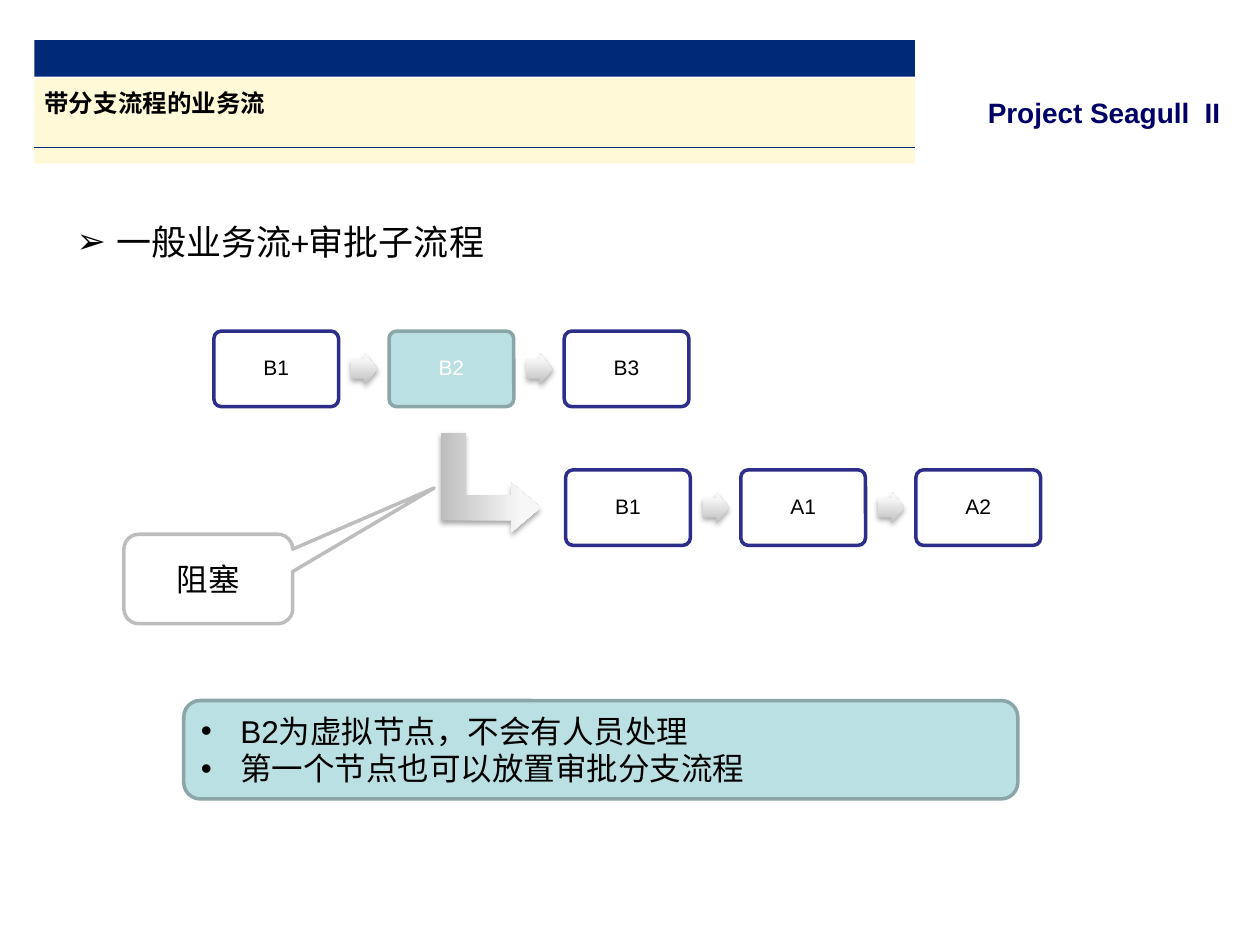
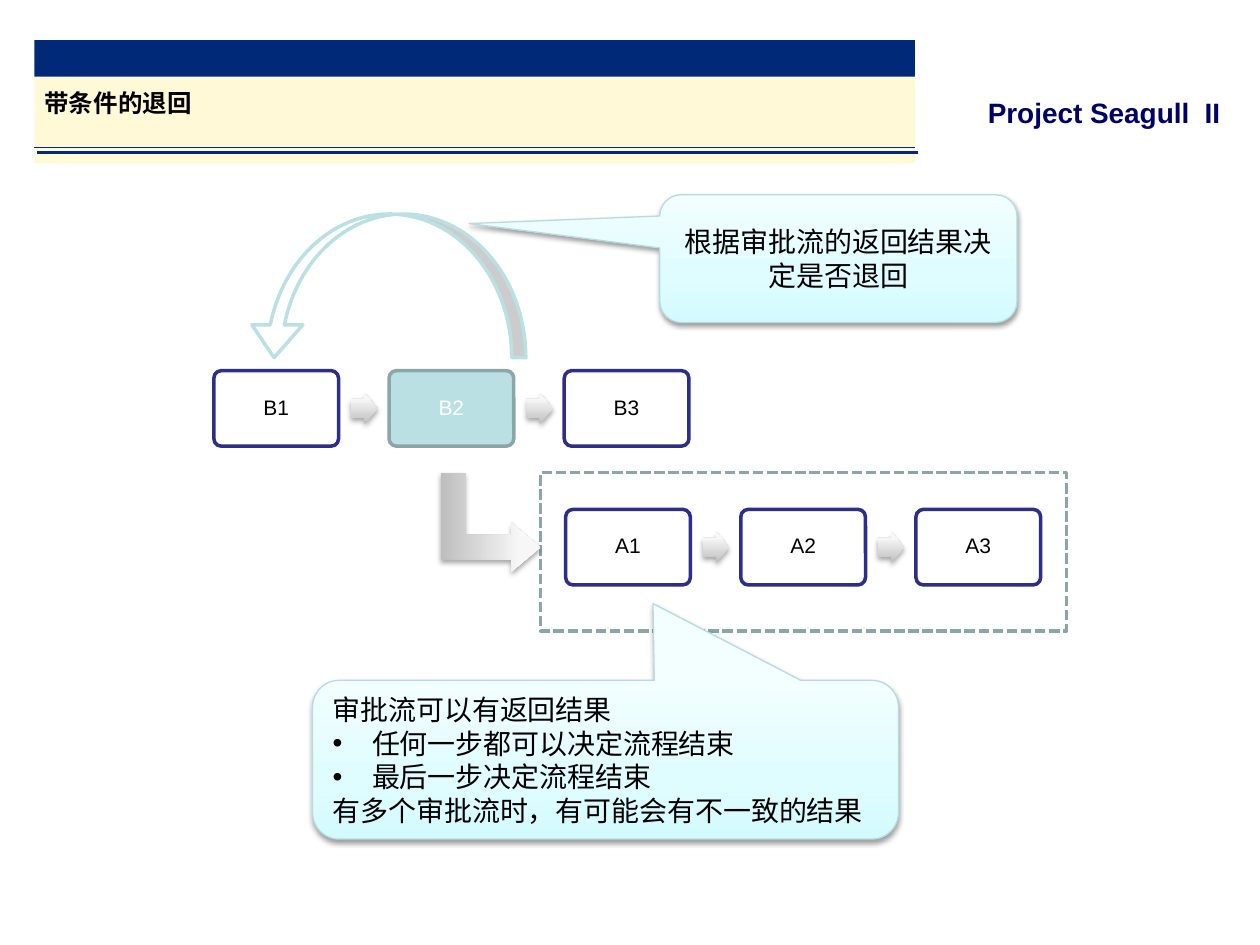
from dataclasses import dataclass

from lxml import etree
from pptx import Presentation
from pptx.dml.color import RGBColor
from pptx.enum.dml import MSO_LINE
from pptx.enum.shapes import MSO_CONNECTOR, MSO_SHAPE
from pptx.enum.text import MSO_ANCHOR, PP_ALIGN
from pptx.oxml.ns import qn
from pptx.util import Pt

RECTANGLE = MSO_SHAPE.RECTANGLE
ROUNDED = MSO_SHAPE.ROUNDED_RECTANGLE
CALLOUT = MSO_SHAPE.ROUNDED_RECTANGULAR_CALLOUT
RIGHT_ARROW = MSO_SHAPE.RIGHT_ARROW
BENT_ARROW = MSO_SHAPE.BENT_UP_ARROW
CURVED_ARROW = MSO_SHAPE.CURVED_RIGHT_ARROW
STRAIGHT = MSO_CONNECTOR.STRAIGHT
DASHED = MSO_LINE.SQUARE_DOT
TOP, MIDDLE = MSO_ANCHOR.TOP, MSO_ANCHOR.MIDDLE
LEFT, CENTER = PP_ALIGN.LEFT, PP_ALIGN.CENTER

COLORS = {
    "navy": "002978", "cream": "FFF9D7", "project": "000066",
    "black": "000000", "white": "FFFFFF", "node_line": "2D2D8A",
    "teal": "BBE0E3", "teal_line": "8AA6A8", "gray_line": "BDBDBD",
    "callout_line": "B6DCDF",
}
GRADIENTS = {
    "arrow": ((0, "BEBEBE"), (80, "F7F7F7"), (100, "F8F8F8")),
    "callout": ((0, "D3FBFF"), (35, "DFFCFF"), (100, "F2FEFF")),
}
CJK_FONT = "Noto Sans CJK SC"
BULLET_INDENT = 22.5
BAND_LEFT, BAND_WIDTH = 19.6, 503.3
NODE_WIDTH, NODE_HEIGHT, NODE_STEP = 71.3, 43.2, 100.1
ARROW_OFFSET, ARROW_WIDTH, ARROW_HEIGHT = 78.5, 15.1, 18


@dataclass(frozen=True)
class Box:
    """Preset shape: lengths in points, fill a colour or gradient name."""
    preset: int
    left: float
    top: float
    width: float
    height: float
    fill: str = ""
    line: str = ""
    line_width: float = 2
    adjustments: tuple = ()
    rotation: float = 0
    shadow_alpha: int = 0


@dataclass(frozen=True)
class TextStyle:
    size: float
    font: str = "Arial"
    color: str = "black"
    bold: bool = False
    align: int = LEFT
    anchor: int = MIDDLE
    insets: tuple = (7.2, 3.6, 7.2, 3.6)
    line_spacing: float = 1.0


@dataclass(frozen=True)
class Line:
    text: str
    bullet: str = ""


@dataclass(frozen=True)
class NodeRow:
    left: float
    top: float
    labels: tuple


def rgb(name: str) -> RGBColor:
    return RGBColor.from_string(COLORS[name])


def apply_format(target, values: dict) -> None:
    for name, value in values.items():
        setattr(target, name, value)


def add_bullet(paragraph, character: str) -> None:
    properties = paragraph._p.get_or_add_pPr()
    properties.set("marL", str(Pt(BULLET_INDENT)))
    properties.set("indent", str(-Pt(BULLET_INDENT)))
    etree.SubElement(properties, qn("a:buFont"), typeface="Arial")
    etree.SubElement(properties, qn("a:buChar"), char=character)


def write_text(shape, lines: tuple, style: TextStyle) -> None:
    frame = shape.text_frame
    margins = ("margin_left", "margin_top", "margin_right", "margin_bottom")
    apply_format(frame, {"word_wrap": True, "vertical_anchor": style.anchor,
                         **dict(zip(margins, map(Pt, style.insets)))})
    for index, line in enumerate(lines):
        paragraph = frame.add_paragraph() if index else frame.paragraphs[0]
        apply_format(paragraph, {"alignment": style.align,
                                 "line_spacing": style.line_spacing})
        if line.bullet:
            add_bullet(paragraph, line.bullet)
        run = paragraph.add_run()
        run.text = line.text
        apply_format(run.font, {"name": style.font, "size": Pt(style.size),
                                "bold": style.bold})
        run.font.color.rgb = rgb(style.color)
        etree.SubElement(run._r.get_or_add_rPr(), qn("a:ea"), typeface=CJK_FONT)


def fill_gradient(shape, stops: tuple) -> None:
    """Blend upwards from the first stop at the bottom."""
    shape.fill.gradient()
    shape.fill.gradient_angle = 90
    stop_list = shape._element.spPr.find(".//" + qn("a:gsLst"))
    for stop in list(stop_list):
        stop_list.remove(stop)
    for position, color in stops:
        stop = etree.SubElement(stop_list, qn("a:gs"), pos=str(position * 1000))
        etree.SubElement(stop, qn("a:srgbClr"), val=color)


def add_shadow(shape, alpha: int) -> None:
    effects = shape._element.spPr.find(qn("a:effectLst"))
    shadow = etree.SubElement(
        effects, qn("a:outerShdw"), blurRad=str(Pt(3.1)), dist=str(Pt(1.8)),
        dir="5400000", rotWithShape="0")
    color = etree.SubElement(shadow, qn("a:srgbClr"), val=COLORS["black"])
    etree.SubElement(color, qn("a:alpha"), val=str(alpha * 1000))


def add_box(slide, box: Box):
    shape = slide.shapes.add_shape(box.preset, Pt(box.left), Pt(box.top),
                                   Pt(box.width), Pt(box.height))
    shape.rotation = box.rotation
    for index, value in enumerate(box.adjustments):
        shape.adjustments[index] = value
    if box.fill in GRADIENTS:
        fill_gradient(shape, GRADIENTS[box.fill])
    elif box.fill:
        shape.fill.solid()
        shape.fill.fore_color.rgb = rgb(box.fill)
    else:
        shape.fill.background()
    if box.line:
        shape.line.color.rgb = rgb(box.line)
        shape.line.width = Pt(box.line_width)
    else:
        shape.line.fill.background()
    shape.shadow.inherit = False
    if box.shadow_alpha:
        add_shadow(shape, box.shadow_alpha)
    return shape


def add_text(slide, left: float, top: float, width: float, height: float,
             line: Line, style: TextStyle) -> None:
    shape = slide.shapes.add_textbox(Pt(left), Pt(top), Pt(width), Pt(height))
    write_text(shape, (line,), style)


def add_rule(slide, left: float, top: float, width: float) -> None:
    rule = slide.shapes.add_connector(STRAIGHT, Pt(left), Pt(top),
                                      Pt(left + BAND_WIDTH), Pt(top))
    rule.line.color.rgb = rgb("navy")
    rule.line.width = Pt(width)
    etree.SubElement(rule._element.spPr, qn("a:effectLst"))


def add_header(slide, title: str) -> None:
    """Project name, title bands and the thin rule."""
    add_text(slide, 564.5, 54.7, 141.8, 22.3, Line("Project Seagull  II"),
             TextStyle(16, color="project", bold=True, anchor=TOP,
                       insets=(0, 0, 0, 0)))
    add_box(slide, Box(RECTANGLE, BAND_LEFT, 23, BAND_WIDTH, 20.9, "navy"))
    band = add_box(slide, Box(RECTANGLE, BAND_LEFT, 44.6, BAND_WIDTH, 28.1, "cream"))
    write_text(band, (Line(title),),
               TextStyle(14, CJK_FONT, bold=True, insets=(5.8, 0, 0, 0)))
    add_box(slide, Box(RECTANGLE, BAND_LEFT, 72.7, BAND_WIDTH, 20.6, "cream"))
    add_rule(slide, BAND_LEFT, 84.2, 0.25)


def add_node_row(slide, row: NodeRow) -> None:
    """Nodes at an equal step with an arrow in each gap; B2 is highlighted."""
    for index, label in enumerate(row.labels):
        left = row.left + index * NODE_STEP
        fill, line, color = (("teal", "teal_line", "white") if label == "B2"
                             else ("white", "node_line", "black"))
        node = add_box(slide, Box(ROUNDED, left, row.top, NODE_WIDTH, NODE_HEIGHT,
                                  fill, line, adjustments=(0.1,)))
        write_text(node, (Line(label),),
                   TextStyle(12, color=color, align=CENTER,
                             insets=(3.6, 3.6, 3.6, 3.6), line_spacing=0.9))
        if index < len(row.labels) - 1:
            add_box(slide, Box(RIGHT_ARROW, left + ARROW_OFFSET,
                               row.top + (NODE_HEIGHT - ARROW_HEIGHT) / 2,
                               ARROW_WIDTH, ARROW_HEIGHT, "arrow",
                               adjustments=(0.6, 0.5), shadow_alpha=35))


def add_flow(slide, top: float, branch_labels: tuple) -> None:
    """Main flow, the branch below it and the bent arrow between them."""
    add_node_row(slide, NodeRow(122.2, top, ("B1", "B2", "B3")))
    add_node_row(slide, NodeRow(323.2, top + 79.3, branch_labels))
    add_box(slide, Box(BENT_ARROW, 252, top + 58.2, 56.9, 56.9, "arrow",
                       adjustments=(0.25, 0.25, 0.295), rotation=90,
                       shadow_alpha=35))


def build_branch_slide(slide) -> None:
    add_header(slide, "带分支流程的业务流")
    add_text(slide, 36.7, 122.4, 555.8, 31.7, Line("一般业务流+审批子流程", "➢"),
             TextStyle(20, "Calibri", anchor=TOP))
    add_flow(slide, 189.2, ("B1", "A1", "A2"))

    # Notes on the virtual node
    notes = add_box(slide, Box(ROUNDED, 105, 400.3, 476.6, 56.2, "teal", "teal_line"))
    write_text(notes, (Line("B2为虚拟节点，不会有人员处理", "•"),
                       Line("第一个节点也可以放置审批分支流程", "•")),
               TextStyle(18, anchor=TOP))

    # Blocking callout
    blocking = add_box(slide, Box(CALLOUT, 70.8, 305.3, 96.5, 51.1, "white",
                                  "gray_line", adjustments=(1.338, -1.018, 0.167)))
    write_text(blocking, (Line("阻塞"),), TextStyle(18, align=CENTER))


def build_return_slide(slide) -> None:
    # Frame around the approval flow
    frame = add_box(slide, Box(RECTANGLE, 308.9, 270, 300.5, 90.7, line="teal_line"))
    frame.line.dash_style = DASHED

    add_header(slide, "带条件的退回")
    add_rule(slide, 21.1, 87.1, 2)
    add_flow(slide, 211.8, ("A1", "A2", "A3"))

    # Return arrow from B2 to B1
    add_box(slide, Box(CURVED_ARROW, 180.2, 84.2, 82.1, 158.4, "white", "teal",
                       adjustments=(0.098, 0.355, 0.229), rotation=90))

    # Callouts on the approval result
    callouts = (
        ((178.6, 388.8, 334.8, 90.7), (0.081, -0.984, 0.167), LEFT,
         (Line("审批流可以有返回结果"),
          Line("任何一步都可以决定流程结束", "•"),
          Line("最后一步决定流程结束", "•"),
          Line("有多个审批流时，有可能会有不一致的结果"))),
        ((377, 111.3, 204.2, 73), (-1.033, -0.274, 0.167), CENTER,
         (Line("根据审批流的返回结果决定是否退回"),)),
    )
    for place, adjustments, align, lines in callouts:
        callout = add_box(slide, Box(CALLOUT, *place, "callout", "callout_line", 0.75,
                                     adjustments, shadow_alpha=38))
        write_text(callout, lines, TextStyle(16, align=align))


def main() -> None:
    presentation = Presentation()
    presentation.slide_width, presentation.slide_height = Pt(720), Pt(540)
    blank = presentation.slide_layouts[6]
    for build in (build_branch_slide, build_return_slide):
        build(presentation.slides.add_slide(blank))
    presentation.save("out.pptx")


if __name__ == "__main__":
    main()
